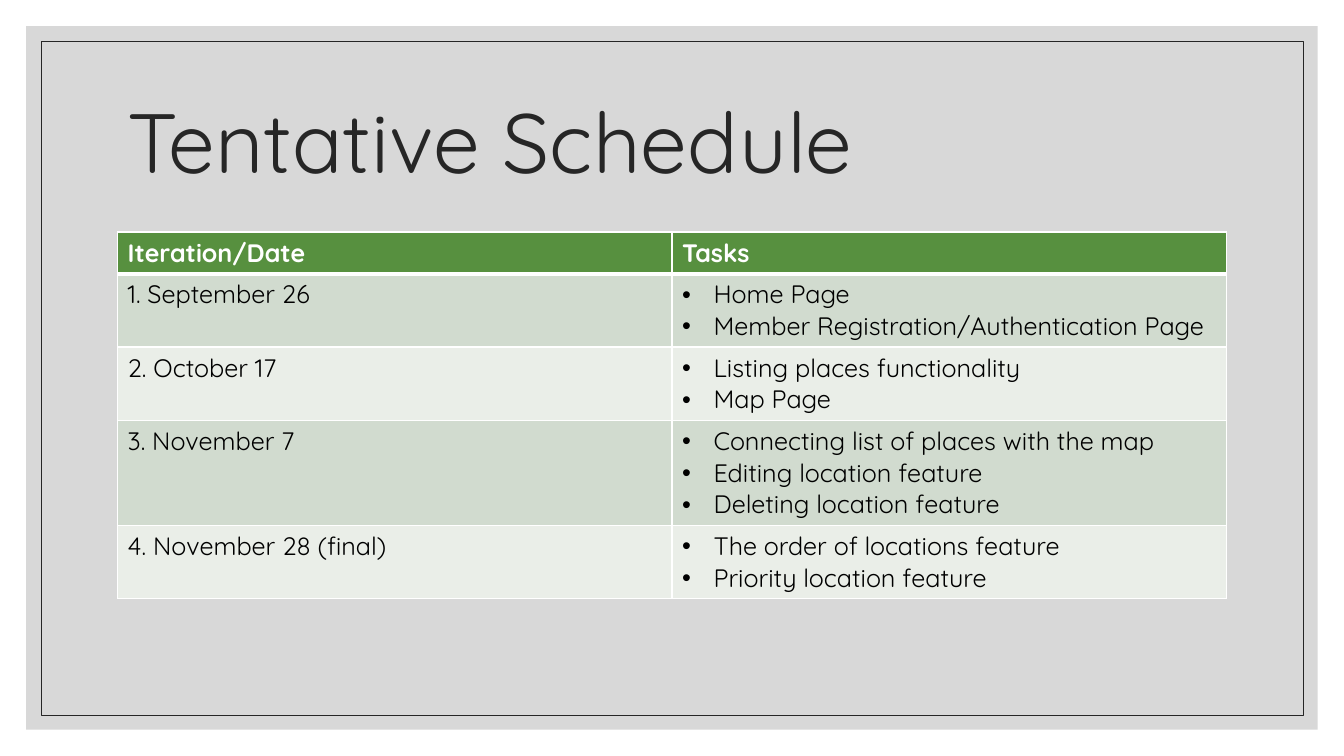
from dataclasses import dataclass

from lxml.etree import SubElement
from pptx import Presentation
from pptx.dml.color import RGBColor
from pptx.enum.shapes import MSO_SHAPE
from pptx.enum.text import MSO_ANCHOR, MSO_AUTO_SIZE, PP_ALIGN
from pptx.oxml.ns import qn
from pptx.util import Pt

EMU_PER_PX = 9525  # 96 px to the inch


def px(n):
    return n * EMU_PER_PX


@dataclass(frozen=True)
class Theme:
    font: str = "Quicksand"
    ink: str = "262626"
    panel: str = "BFBFBF"
    panel_alpha: int = 60
    header: str = "57903F"
    bands: tuple = ("D1DBCF", "EAEEE8")
    white: str = "FFFFFF"
    black: str = "000000"
    title_size: int = 60
    table_size: int = 18
    thin: int = 1
    thick: int = 3


class Deck:
    """Holds the theme and the current slide."""

    def __init__(self, prs, theme):
        self.theme = theme
        self.s = prs.slides.add_slide(prs.slide_layouts[5])

    def run(self, p, text, size, color, bold=False):
        r = p.add_run()
        r.text = text
        r.font.name = self.theme.font
        r.font.size = Pt(size)
        r.font.bold = bold
        r.font.color.rgb = RGBColor.from_string(color)

    def rect(self, x, y, w, h, fill=None, alpha=100, line=None):
        """Add a rectangle behind the title."""
        sp = self.s.shapes.add_shape(MSO_SHAPE.RECTANGLE, px(x), px(y), px(w), px(h))
        sp.shadow.inherit = False
        if fill:
            sp.fill.solid()
            sp.fill.fore_color.rgb = RGBColor.from_string(fill)
            color = sp.fill._xPr.find(qn("a:solidFill"))[0]
            SubElement(color, qn("a:alpha"), val=str(alpha * 1000))
        else:
            sp.fill.background()
        if line:
            sp.line.color.rgb = RGBColor.from_string(line)
            sp.line.width = Pt(0.5)
        else:
            sp.line.fill.background()
        self.s.shapes.title._element.addprevious(sp._element)

    def title(self, text, x, y, w, h):
        sp = self.s.shapes.title
        sp.left, sp.top, sp.width, sp.height = px(x), px(y), px(w), px(h)
        tf = sp.text_frame
        tf.word_wrap = True
        tf.auto_size = MSO_AUTO_SIZE.NONE
        tf.vertical_anchor = MSO_ANCHOR.MIDDLE
        p = tf.paragraphs[0]
        p.alignment = PP_ALIGN.LEFT
        p.line_spacing = 0.9
        self.run(p, text, self.theme.title_size, self.theme.ink)

    def borders(self, cell, top, bottom):
        tcPr = cell._tc.get_or_add_tcPr()
        thin = self.theme.thin
        for side, width in (("L", thin), ("R", thin), ("T", top), ("B", bottom)):
            ln = SubElement(tcPr, qn(f"a:ln{side}"), w=str(Pt(width)))
            fill = SubElement(ln, qn("a:solidFill"))
            SubElement(fill, qn("a:srgbClr"), val=self.theme.white)

    def bullet(self, p, indent):
        pPr = p._p.get_or_add_pPr()
        pPr.set("marL", str(px(indent)))
        pPr.set("indent", str(-px(indent)))
        SubElement(pPr, qn("a:buFont"), typeface="Arial")
        SubElement(pPr, qn("a:buChar"), char="•")

    def cell(self, cell, row, lines, bulleted):
        t = self.theme
        is_header = row == 0
        self.borders(cell, t.thick if row == 1 else t.thin, t.thick if is_header else t.thin)
        cell.fill.solid()
        fill = t.header if is_header else t.bands[(row - 1) % len(t.bands)]
        cell.fill.fore_color.rgb = RGBColor.from_string(fill)
        tf = cell.text_frame
        for i, line in enumerate(lines):
            p = tf.add_paragraph() if i else tf.paragraphs[0]
            if bulleted:
                self.bullet(p, 30)
            self.run(p, line, t.table_size, t.white if is_header else t.black, is_header)

    def schedule(self, header, iterations, x, y, w, row_h):
        """Add the two-column table; rows grow to fit their tasks."""
        rows = len(iterations) + 1
        frame = self.s.shapes.add_table(rows, 2, px(x), px(y), px(w), px(row_h * rows))
        table = frame.table
        for col, text in enumerate(header):
            self.cell(table.cell(0, col), 0, [text], False)
        for row, (date, tasks) in enumerate(iterations, 1):
            self.cell(table.cell(row, 0), row, [date], False)
            self.cell(table.cell(row, 1), row, tasks, True)


ITERATIONS = [
    ("1. September 26", ["Home Page", "Member Registration/Authentication Page"]),
    ("2. October 17", ["Listing places functionality", "Map Page"]),
    ("3. November 7", ["Connecting list of places with the map",
                       "Editing location feature", "Deleting location feature"]),
    ("4. November 28 (final)", ["The order of locations feature",
                                "Priority location feature"]),
]


def main():
    prs = Presentation()
    prs.slide_width, prs.slide_height = px(1280), px(720)
    theme = Theme()
    deck = Deck(prs, theme)
    deck.rect(25, 25, 1230, 670, fill=theme.panel, alpha=theme.panel_alpha)
    deck.rect(39, 39, 1202, 642, line=theme.ink)
    deck.title("Tentative Schedule", 112, 67, 1056, 144)
    deck.schedule(("Iteration/Date", "Tasks"), ITERATIONS, 112, 221, 1056, 39)
    prs.save("out.pptx")


if __name__ == "__main__":
    main()
